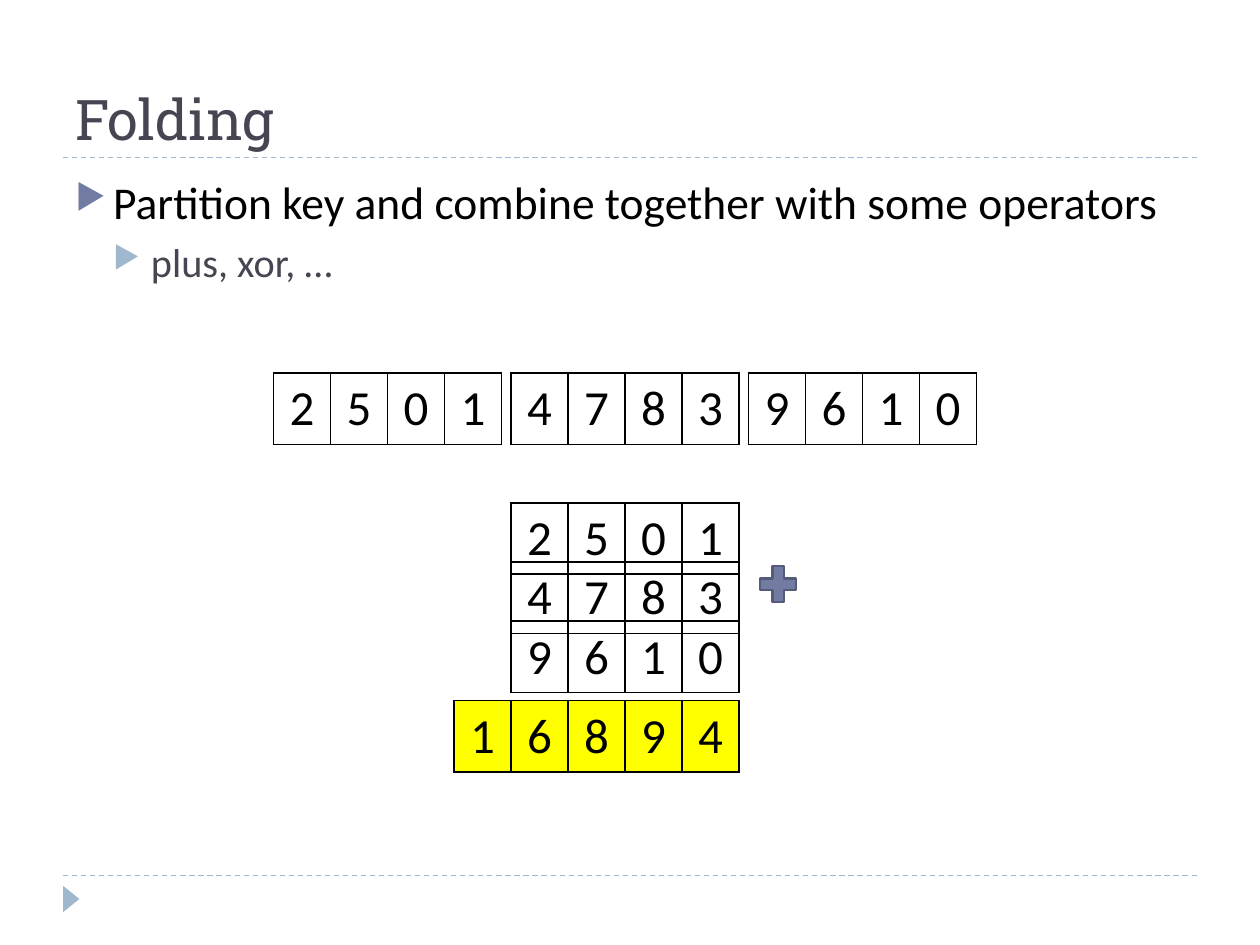
from lxml import etree
from pptx import Presentation
from pptx.dml.color import RGBColor as RGB
from pptx.enum.dml import MSO_LINE as Dash
from pptx.enum.shapes import MSO_CONNECTOR as Conn, MSO_SHAPE as Geo
from pptx.enum.text import MSO_ANCHOR as Anchor, PP_ALIGN as Align
from pptx.oxml import parse_xml
from pptx.oxml.ns import nsdecls, qn
from pptx.util import Inches, Pt

BLACK = RGB(0, 0, 0)
SLATE = RGB(0x46, 0x46, 0x53)
INDIGO = RGB(0x72, 0x7C, 0xA3)
EDGE = RGB(0x54, 0x5C, 0x79)
SKY = RGB(0x9F, 0xB8, 0xCD)
YELLOW = RGB(0xFF, 0xFF, 0)

TITLE = "Folding"
BODY = [
    ("Partition key and combine together with some operators", 26, BLACK, INDIGO, 6),
    ("plus, xor, …", 23, SLATE, SKY, 5),
]
PARTS = ["2501", "4783", "9610"]
TOTAL = "16894"
RULES = [6.95, 1.25]

CELL = 1.81 / 4
ROW = 0.41
LEFT, TOP, STEP = 2.17, 2.96, 1.885
MID = LEFT + STEP
SUM, DROP = 3.99, 0.47


def style(run, size, color, face="Calibri"):
    for key, val in {"size": Pt(size), "name": face}.items():
        setattr(run.font, key, val)
    run.font.color.rgb = color


def add_box(slide, top, high, anchor):
    box = slide.shapes.add_textbox(Inches(0.5), Inches(top), Inches(9), Inches(high))
    frame = box.text_frame
    for key, val in {"word_wrap": True, "vertical_anchor": anchor}.items():
        setattr(frame, key, val)
    return frame


def add_bullet(para, level, color):
    props = para._p.get_or_add_pPr()
    props.set("marL", str(Inches(0.3 * (level + 1))))
    props.set("indent", str(Inches(-0.3)))
    for xml in (
        f'<a:buClr {nsdecls("a")}><a:srgbClr val="{color}"/></a:buClr>',
        f'<a:buSzPct {nsdecls("a")} val="76000"/>',
        f'<a:buChar {nsdecls("a")} char="▶"/>',
    ):
        props.append(parse_xml(xml))


def add_border(cell):
    props = cell._tc.get_or_add_tcPr()
    for side in "LRTB":
        props.append(parse_xml(
            f'<a:ln{side} {nsdecls("a")} w="{Pt(1)}"><a:solidFill>'
            f'<a:srgbClr val="{BLACK}"/></a:solidFill></a:ln{side}>'))


def add_digits(slide, digits, left, top, fill=None):
    count = len(digits)
    table = slide.shapes.add_table(
        1, count, Inches(left), Inches(top), Inches(CELL * count), Inches(ROW)).table
    for key in ("first_row", "horz_banding"):
        setattr(table, key, False)
    for cell, digit in zip(table.iter_cells(), digits):
        para = cell.text_frame.paragraphs[0]
        para.alignment = Align.CENTER
        run = para.add_run()
        run.text = digit
        style(run, 28, BLACK)
        add_border(cell)
        if fill:
            cell.fill.solid()
            cell.fill.fore_color.rgb = fill
        else:
            cell.fill.background()


def add_mark(slide, geo, at, fill):
    mark = slide.shapes.add_shape(geo, *map(Inches, at))
    mark.shadow.inherit = False
    mark.fill.solid()
    mark.fill.fore_color.rgb = fill
    return mark


def main():
    deck = Presentation()
    deck.slide_width, deck.slide_height = Inches(10), Inches(7.5)
    slide = deck.slides.add_slide(deck.slide_layouts[6])

    for y in RULES:
        rule = slide.shapes.add_connector(
            Conn.STRAIGHT, Inches(0.5), Inches(y), Inches(9.5), Inches(y))
        rule.line.color.rgb = SKY
        for key, val in {"width": Pt(0.75), "dash_style": Dash.DASH}.items():
            setattr(rule.line, key, val)
        etree.SubElement(rule._element.spPr, qn("a:effectLst"))

    arrow = add_mark(slide, Geo.ISOSCELES_TRIANGLE, (0.46, 7.07, 0.21, 0.13), SKY)
    arrow.rotation = 90
    arrow.line.fill.background()

    run = add_box(slide, 0.17, 1.08, Anchor.BOTTOM).paragraphs[0].add_run()
    run.text = TITLE
    style(run, 32, SLATE, "Roboto Slab")

    frame = add_box(slide, 1.33, 5.4, Anchor.TOP)
    for level, (text, size, color, dot, gap) in enumerate(BODY):
        para = frame.add_paragraph() if level else frame.paragraphs[0]
        for key, val in {"level": level, "space_before": Pt(gap)}.items():
            setattr(para, key, val)
        add_bullet(para, level, dot)
        run = para.add_run()
        run.text = text
        style(run, size, color)

    for i, part in enumerate(PARTS):
        add_digits(slide, part, LEFT + i * STEP, TOP)
        add_digits(slide, part, MID, SUM + i * DROP)

    plus = add_mark(slide, Geo.MATH_PLUS, (5.98, 4.44, 0.39, 0.39), INDIGO)
    plus.line.color.rgb = EDGE
    plus.line.width = Pt(1.5)

    add_digits(slide, TOTAL, MID - CELL, 5.56, YELLOW)
    deck.save("out.pptx")


if __name__ == "__main__":
    main()
